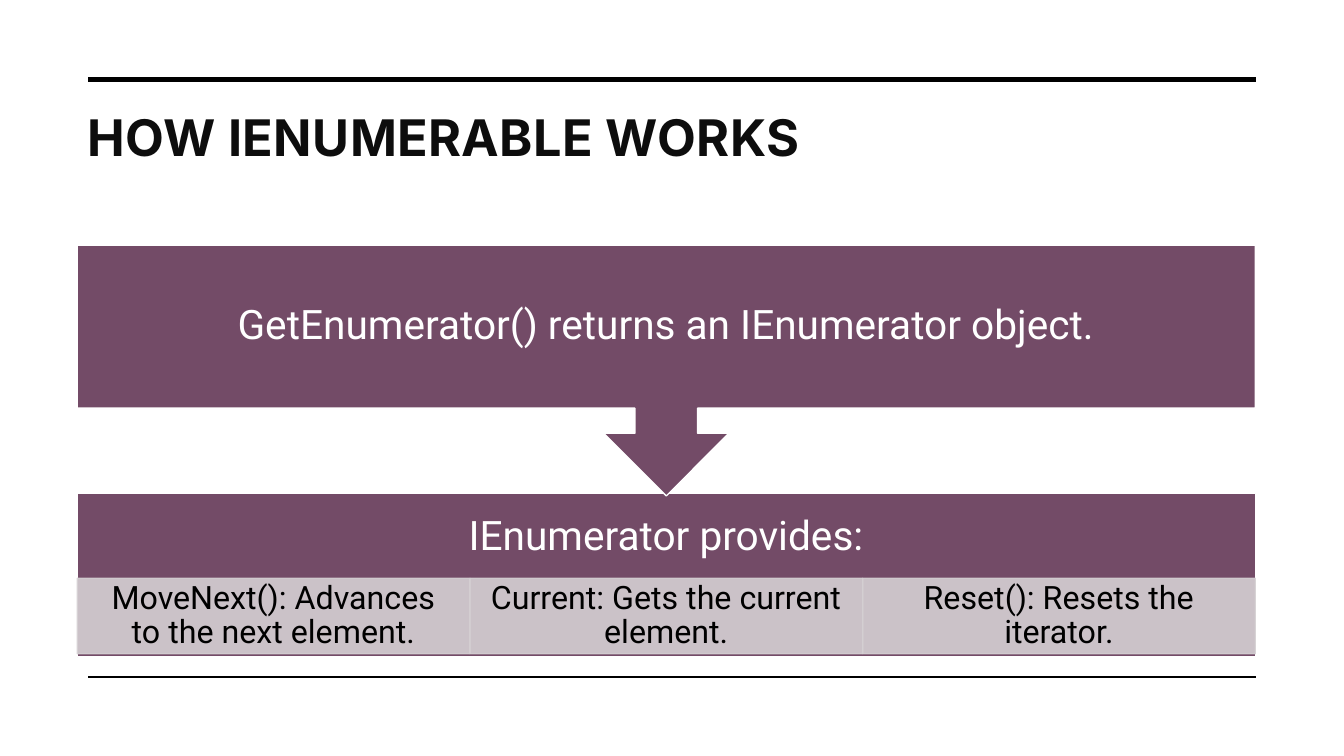
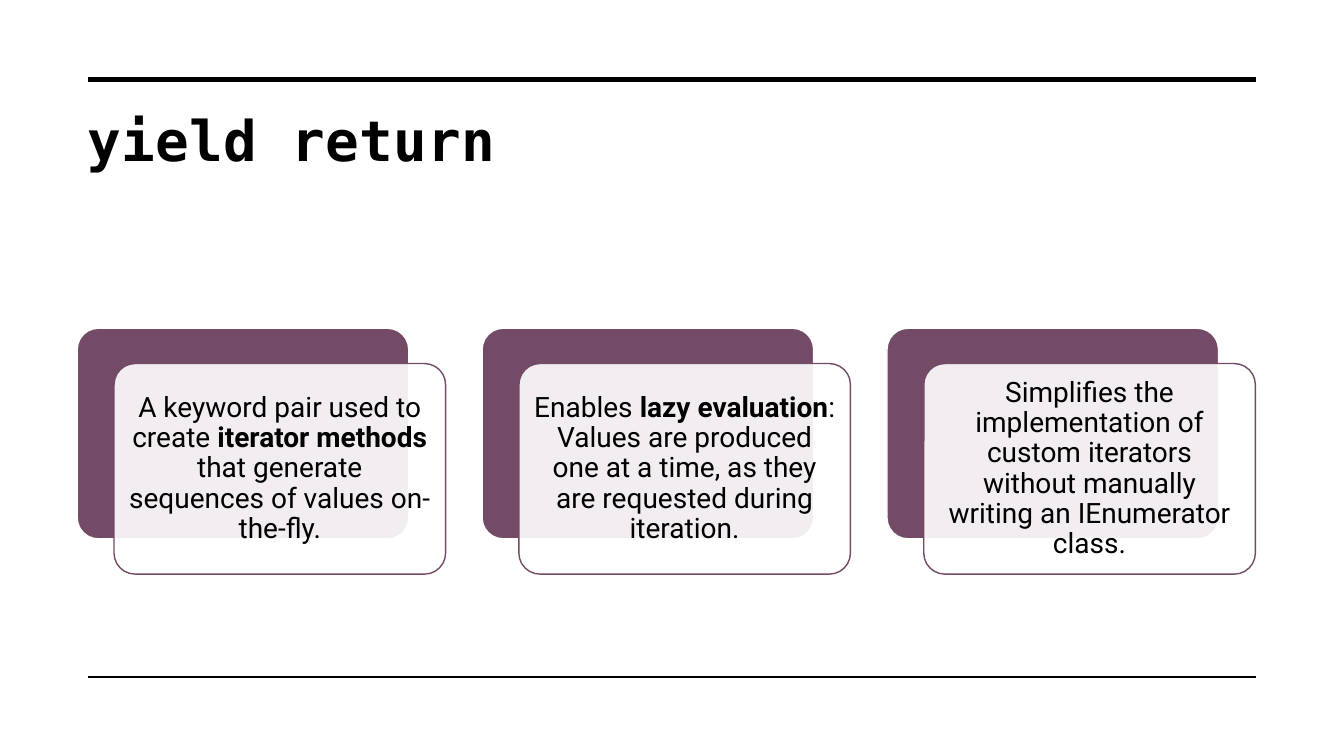
"""Build two slides on iterators: a flow with three members and a row of cards."""
from dataclasses import dataclass

from lxml.etree import SubElement
from pptx import Presentation
from pptx.dml.color import RGBColor
from pptx.enum.shapes import MSO_CONNECTOR, MSO_SHAPE
from pptx.enum.text import MSO_ANCHOR, MSO_AUTO_SIZE, PP_ALIGN
from pptx.oxml.ns import qn
from pptx.slide import Slide
from pptx.util import Pt

HUES = {"plum": "734B67", "mist": "D5D0D3", "white": "FFFFFF",
        "black": "000000", "ink": "0D0D0D"}
LEFT, WIDE = 55.2, 841.5
RULES = ((57, 3.5), (483.6, 1))
FILL, EDGE = "a:solidFill/a:srgbClr", "a:ln/a:solidFill/a:srgbClr"


@dataclass(frozen=True)
class Box:
    left: float
    top: float
    width: float
    height: float


@dataclass(frozen=True)
class Look:
    kind: MSO_SHAPE
    fill: str
    line: str
    ink: str = "black"
    size: float = 20
    pads: tuple[float, float, float, float] = (0, 0, 0, 0)
    fade: tuple[str, ...] = ()


@dataclass(frozen=True)
class Head:
    text: str
    font: str
    size: float
    ink: str
    height: float


CALL = Look(MSO_SHAPE.DOWN_ARROW_CALLOUT, "plum", "white", "white", 29, (16, 10, 16, 10))
BASE = Look(MSO_SHAPE.RECTANGLE, "plum", "white", "white", 29, (16, 10, 16, 64))
CELL = Look(MSO_SHAPE.RECTANGLE, "mist", "mist", "black", 23, (13, 2, 13, 2), (FILL, EDGE))
BACK = Look(MSO_SHAPE.ROUNDED_RECTANGLE, "plum", "white")
FRONT = Look(MSO_SHAPE.ROUNDED_RECTANGLE, "white", "plum", "black", 20,
             (5.6, 5.6, 5.6, 5.6), (FILL,))

PARTS = ("MoveNext(): Advances to the next element.",
         "Current: Gets the current element.",
         "Reset(): Resets the iterator.")
CARDS = (("A keyword pair used to create ", "iterator methods",
          " that generate sequences of values on-the-fly."),
         ("Enables ", "lazy evaluation",
          ": Values are produced one at a time, as they are requested during iteration."),
         ("Simplifies the implementation of custom iterators without manually "
          "writing an IEnumerator class.",))


def tint(name: str) -> RGBColor:
    return RGBColor.from_string(HUES[name])


def start(deck: Presentation, head: Head) -> Slide:
    slide = deck.slides.add_slide(deck.slide_layouts[5])
    for top, weight in RULES:
        rule = slide.shapes.add_connector(
            MSO_CONNECTOR.STRAIGHT, Pt(63.1), Pt(top), Pt(897), Pt(top))
        rule.line.color.rgb = tint("black")
        rule.line.width = Pt(weight)
        SubElement(rule._element.spPr, qn("a:effectLst"))
    title = slide.shapes.title
    title.left, title.top = Pt(LEFT), Pt(72)
    title.width, title.height = Pt(WIDE), Pt(head.height)
    frame = title.text_frame
    frame.text = head.text
    frame.word_wrap = True
    frame.auto_size = MSO_AUTO_SIZE.NONE
    frame.vertical_anchor = MSO_ANCHOR.TOP
    para = frame.paragraphs[0]
    para.alignment = PP_ALIGN.LEFT
    font = para.font
    font.name, font.size, font.bold = head.font, Pt(head.size), True
    font.color.rgb = tint(head.ink)
    para._p.pPr.find(qn("a:defRPr")).set("spc", "30")
    return slide


def draw(slide: Slide, look: Look, box: Box, texts: tuple[str, ...] = ()) -> None:
    shape = slide.shapes.add_shape(
        look.kind, Pt(box.left), Pt(box.top), Pt(box.width), Pt(box.height))
    shape.shadow.inherit = False
    shape.fill.solid()
    shape.fill.fore_color.rgb = tint(look.fill)
    shape.line.color.rgb = tint(look.line)
    shape.line.width = Pt(1)
    if look.kind == MSO_SHAPE.ROUNDED_RECTANGLE:
        shape.adjustments[0] = 0.1
    for route in look.fade:
        for clr in shape._element.spPr.xpath(route):
            SubElement(clr, qn("a:alpha")).set("val", "90000")
    if not texts:
        return
    frame = shape.text_frame
    frame.word_wrap = True
    frame.vertical_anchor = MSO_ANCHOR.MIDDLE
    (frame.margin_left, frame.margin_top,
     frame.margin_right, frame.margin_bottom) = map(Pt, look.pads)
    para = frame.paragraphs[0]
    para.alignment = PP_ALIGN.CENTER
    para.line_spacing = 0.9
    para.font.name, para.font.size = "Roboto", Pt(look.size)
    para.font.color.rgb = tint(look.ink)
    for spot, text in enumerate(texts):
        run = para.add_run()
        run.text = text
        if spot % 2:
            run.font.bold = True


def flow(deck: Presentation) -> None:
    slide = start(deck, Head("HOW IENUMERABLE WORKS", "Inter", 36, "ink", 103))
    draw(slide, BASE, Box(LEFT, 352.5, WIDE, 116.9), ("IEnumerator provides:",))
    step = WIDE / len(PARTS)
    for spot, part in enumerate(PARTS):
        draw(slide, CELL, Box(LEFT + spot * step, 413.1, step, 53.8), (part,))
    draw(slide, CALL, Box(LEFT, 175.1, WIDE, 179.2),
         ("GetEnumerator() returns an IEnumerator object.",))


def cards(deck: Presentation) -> None:
    slide = start(deck, Head("yield return", "DejaVu Sans Mono", 40, "black", 91))
    width, height, right, down = 236.8, 150.4, 26.3, 25.2
    step = (WIDE - right - width) / (len(CARDS) - 1)
    for spot, texts in enumerate(CARDS):
        left = LEFT + spot * step
        draw(slide, BACK, Box(left, 234.5, width, height))
        draw(slide, FRONT, Box(left + right, 234.5 + down, width, height), texts)


def main() -> None:
    deck = Presentation()
    deck.slide_width, deck.slide_height = Pt(960), Pt(540)
    flow(deck)
    cards(deck)
    deck.save("out.pptx")


if __name__ == "__main__":
    main()
